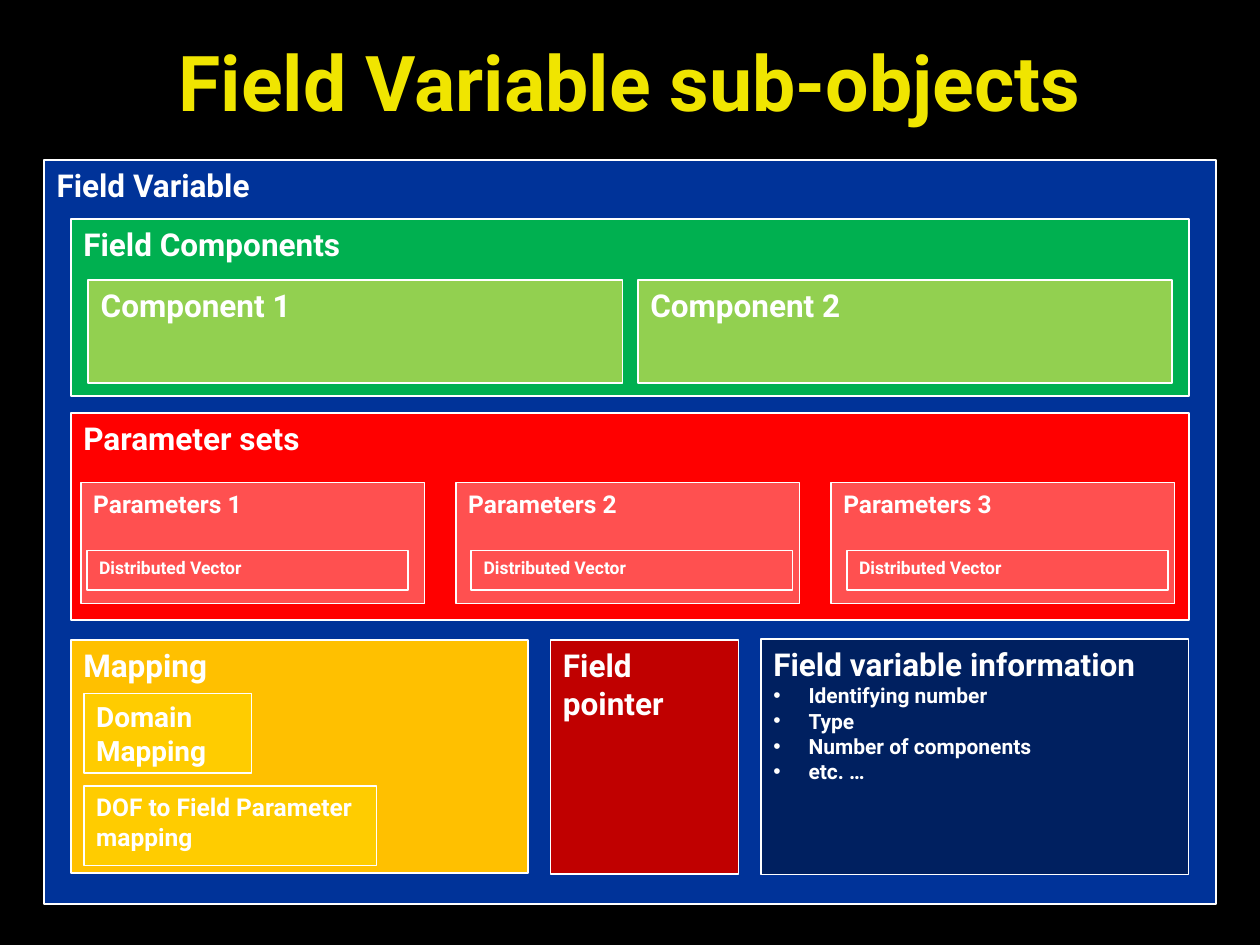
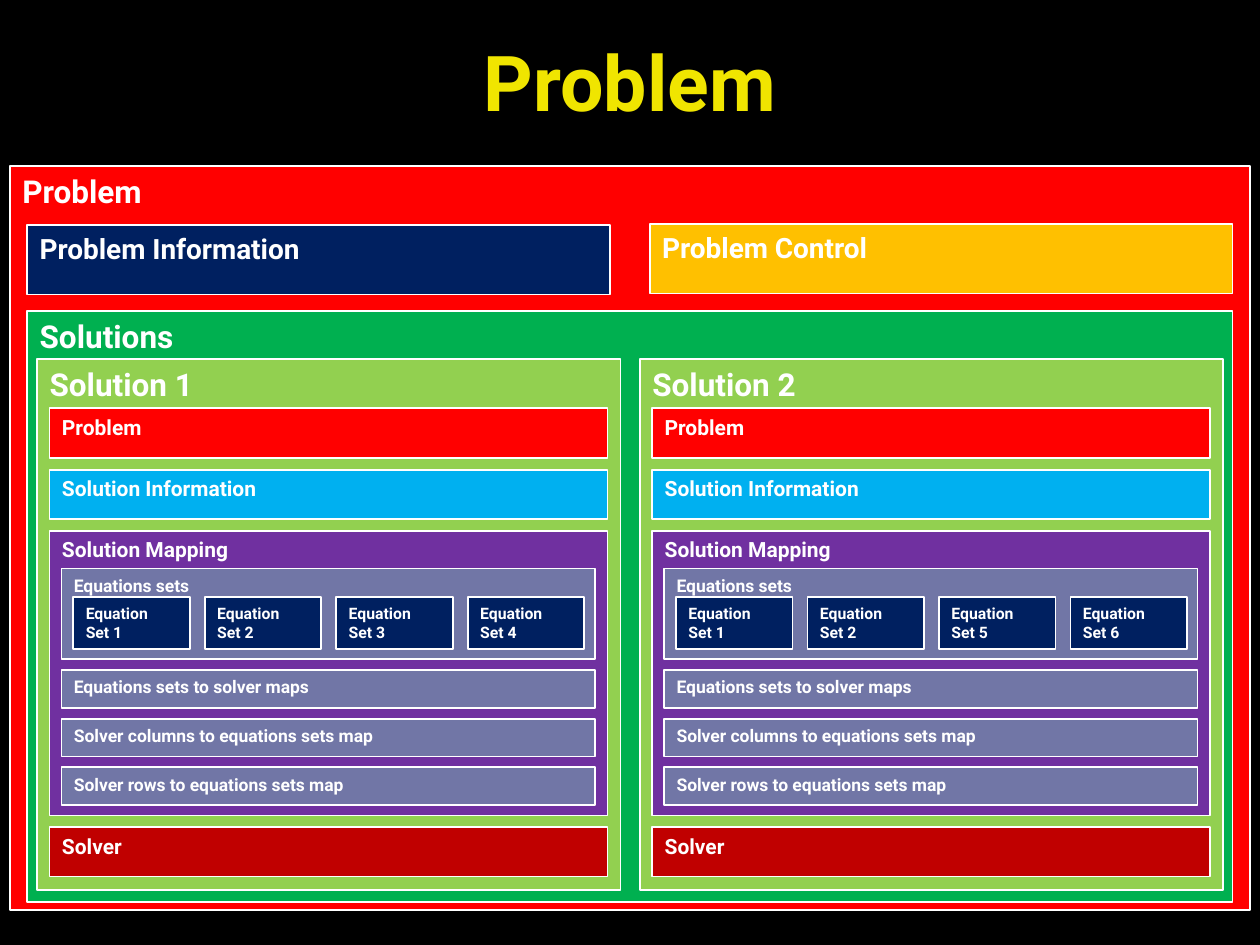
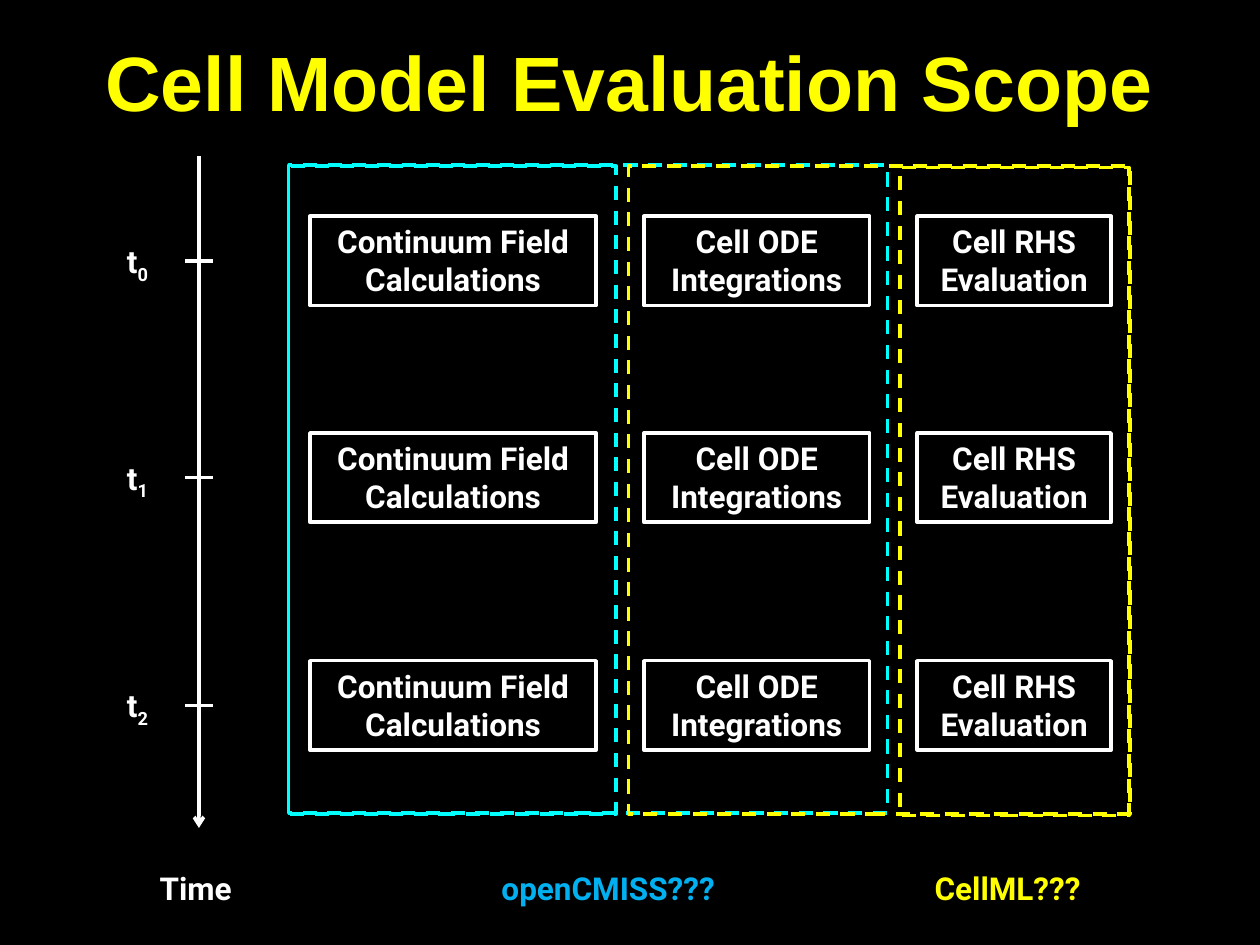
"""Build three slides on field variables, problems and cell model evaluation."""
from lxml import etree
from pptx import Presentation
from pptx.dml.color import RGBColor
from pptx.enum.dml import MSO_LINE_DASH_STYLE as DASH
from pptx.enum.shapes import MSO_CONNECTOR as CONN, MSO_SHAPE as SHAPE
from pptx.enum.text import MSO_ANCHOR as ANCHOR, PP_ALIGN as ALIGN
from pptx.oxml.ns import qn
from pptx.util import Cm, Pt

BLACK = RGBColor(0x00, 0x00, 0x00)
WHITE = RGBColor(0xFF, 0xFF, 0xFF)
TITLE_YELLOW = RGBColor(0xF0, 0xE5, 0x00)
YELLOW = RGBColor(0xFF, 0xFF, 0x00)
CYAN = RGBColor(0x00, 0xFF, 0xFF)
SKY = RGBColor(0x00, 0xB0, 0xF0)
BLUE = RGBColor(0x00, 0x33, 0x99)
NAVY = RGBColor(0x00, 0x20, 0x60)
GREEN = RGBColor(0x00, 0xB0, 0x50)
LIME = RGBColor(0x92, 0xD0, 0x50)
RED = RGBColor(0xFF, 0x00, 0x00)
CORAL = RGBColor(0xFF, 0x50, 0x50)
DARK_RED = RGBColor(0xC0, 0x00, 0x00)
AMBER = RGBColor(0xFF, 0xC0, 0x00)
GOLD = RGBColor(0xFF, 0xCC, 0x00)
PURPLE = RGBColor(0x70, 0x30, 0xA0)
SLATE = RGBColor(0x71, 0x76, 0xA6)


def write(sp, text, size, color=WHITE, align=ALIGN.LEFT, anchor=ANCHOR.TOP, font="Roboto"):
    tf = sp.text_frame
    tf.word_wrap = True
    tf.vertical_anchor = anchor
    tf.text = text
    for p in tf.paragraphs:
        p.alignment = align
        for r in p.runs:
            r.font.name = font
            r.font.size = Pt(size)
            r.font.bold = True
            r.font.color.rgb = color
    return tf


def box(s, x, y, w, h, fill=None, text="", size=18, align=ALIGN.LEFT, line=WHITE, width=1):
    sp = s.shapes.add_shape(SHAPE.RECTANGLE, Cm(x), Cm(y), Cm(w), Cm(h))
    sp.shadow.inherit = False
    if fill is None:
        sp.fill.background()
    else:
        sp.fill.solid()
        sp.fill.fore_color.rgb = fill
    sp.line.color.rgb = line
    sp.line.width = Pt(width)
    if text:
        write(sp, text, size, align=align)
    return sp


prs = Presentation()
prs.slide_width, prs.slide_height = Cm(25.4), Cm(19.05)

slides = []
for title, color, font in [
    ("Field Variable sub-objects", TITLE_YELLOW, "Roboto"),
    ("Problem", TITLE_YELLOW, "Roboto"),
    ("Cell Model Evaluation Scope", YELLOW, "Arial"),
]:
    s = prs.slides.add_slide(prs.slide_layouts[6])
    s.background.fill.solid()
    s.background.fill.fore_color.rgb = BLACK
    sp = s.shapes.add_textbox(0, Cm(0.03), prs.slide_width, Cm(3.18))
    write(sp, title, 44, color, ALIGN.CENTER, ANCHOR.MIDDLE, font)
    slides.append(s)

s = slides[0]
box(s, 0.89, 3.23, 23.62, 14.99, BLUE, "Field Variable")
box(s, 1.43, 4.42, 22.54, 3.56, GREEN, "Field Components")
for i in range(2):
    box(s, 1.78 + i * 11.08, 5.64, 10.77, 2.08, LIME, f"Component {i + 1}")
box(s, 1.43, 8.33, 22.54, 4.17, RED, "Parameter sets")
for i, vector_x in enumerate([1.75, 9.5, 17.07]):
    box(s, 1.63 + i * 7.56, 9.73, 6.93, 2.44, CORAL, f"Parameters {i + 1}", 14)
    box(s, vector_x, 11.1, 6.48, 0.79, CORAL, "Distributed Vector", 10)

info = box(s, 15.34, 12.88, 8.62, 4.75, NAVY, "Field variable information")
items = ["Identifying number", "Type", "Number of components", "etc. …"]
for item in items:
    p = info.text_frame.add_paragraph()
    p.text = item
    p.alignment = ALIGN.LEFT
    pPr = p._p.get_or_add_pPr()
    pPr.set("marL", str(Cm(0.71)))
    pPr.set("indent", str(-Cm(0.71)))
    etree.SubElement(pPr, qn("a:buFont")).set("typeface", "Arial")
    etree.SubElement(pPr, qn("a:buChar")).set("char", "•")
    r = p.runs[0]
    r.font.name = "Roboto"
    r.font.size = Pt(12)
    r.font.bold = True
    r.font.color.rgb = WHITE

box(s, 11.1, 12.9, 3.79, 4.72, DARK_RED, "Field pointer")
box(s, 1.43, 12.9, 9.22, 4.7, AMBER, "Mapping")
box(s, 1.69, 15.85, 5.9, 1.6, GOLD, "DOF to Field Parameter mapping", 14)
box(s, 1.69, 13.98, 3.38, 1.6, GOLD, "Domain Mapping", 16)

s = slides[1]
box(s, 0.2, 3.35, 25, 15, RED, "Problem")
box(s, 0.55, 4.54, 11.75, 1.4, NAVY, "Problem Information", 16)
box(s, 13.1, 4.52, 11.75, 1.4, AMBER, "Problem Control", 16)
box(s, 0.55, 6.27, 24.3, 11.92, GREEN, "Solutions")
maps = [
    "Equations sets to solver maps",
    "Solver columns to equations sets map",
    "Solver rows to equations sets map",
]
for i, sets in enumerate([(1, 2, 3, 4), (1, 2, 5, 6)]):
    x = 0.75 + i * 12.15
    box(s, x, 7.24, 11.76, 10.7, LIME, f"Solution {i + 1}")
    for text, fill, y, h in [
        ("Problem", RED, 8.23, 1),
        ("Solution Information", SKY, 9.47, 1),
        ("Solution Mapping", PURPLE, 10.7, 5.74),
        ("Solver", DARK_RED, 16.67, 1),
    ]:
        box(s, x + 0.25, y, 11.25, h, fill, text, 12)
    box(s, x + 0.49, 11.46, 10.75, 1.83, SLATE, "Equations sets", 10)
    for j, number in enumerate(sets):
        box(s, x + 0.73 + j * 2.65, 12.04, 2.35, 1.05, NAVY, f"Equation\nSet {number}", 9)
    for j, text in enumerate(maps):
        box(s, x + 0.49, 13.51 + j * 0.98, 10.75, 0.76, SLATE, text, 10)

s = slides[2]
times = [5.26, 9.63, 14.22]
lines = [(4.01, 3.15, 4.01, 16.69)] + [(3.73, y, 4.29, y) for y in times]
for i, ends in enumerate(lines):
    line = s.shapes.add_connector(CONN.STRAIGHT, *[Cm(v) for v in ends])
    line.line.color.rgb = WHITE
    line.line.width = Pt(2)
    if i == 0:
        etree.SubElement(line.line._get_or_add_ln(), qn("a:tailEnd")).set("type", "arrow")
    etree.SubElement(line._element.spPr, qn("a:effectLst"))

steps = [
    (6.25, 5.77, "Continuum Field\nCalculations"),
    (12.98, 4.55, "Cell ODE\nIntegrations"),
    (18.49, 3.91, "Cell RHS\nEvaluation"),
]
for i, y in enumerate(times):
    sp = s.shapes.add_textbox(Cm(2.31), Cm(y - 0.51), Cm(1.09), Cm(1.02))
    p = write(sp, "t", 18).paragraphs[0]
    r = p.add_run()
    r.text = str(i)
    r.font.name = "Roboto"
    r.font.size = Pt(18)
    r.font.bold = True
    r.font.color.rgb = WHITE
    r._r.get_or_add_rPr().set("baseline", "-25000")
    for x, w, text in steps:
        box(s, x, y - 0.9, w, 1.8, None, text, align=ALIGN.CENTER, width=2)

for x, y, w, color in [
    (5.82, 3.33, 12.07, CYAN),
    (18.14, 3.38, 4.62, YELLOW),
    (12.67, 3.35, 10.11, YELLOW),
    (5.82, 3.35, 6.6, CYAN),
]:
    box(s, x, y, w, 13.06, line=color, width=2).line.dash_style = DASH.DASH

for x, w, text, color in [
    (2.97, 2.08, "Time", WHITE),
    (9.86, 5.33, "openCMISS???", SKY),
    (18.59, 3.73, "CellML???", YELLOW),
]:
    write(s.shapes.add_textbox(Cm(x), Cm(17.4), Cm(w), Cm(1.02)), text, 18, color)

prs.save("out.pptx")
